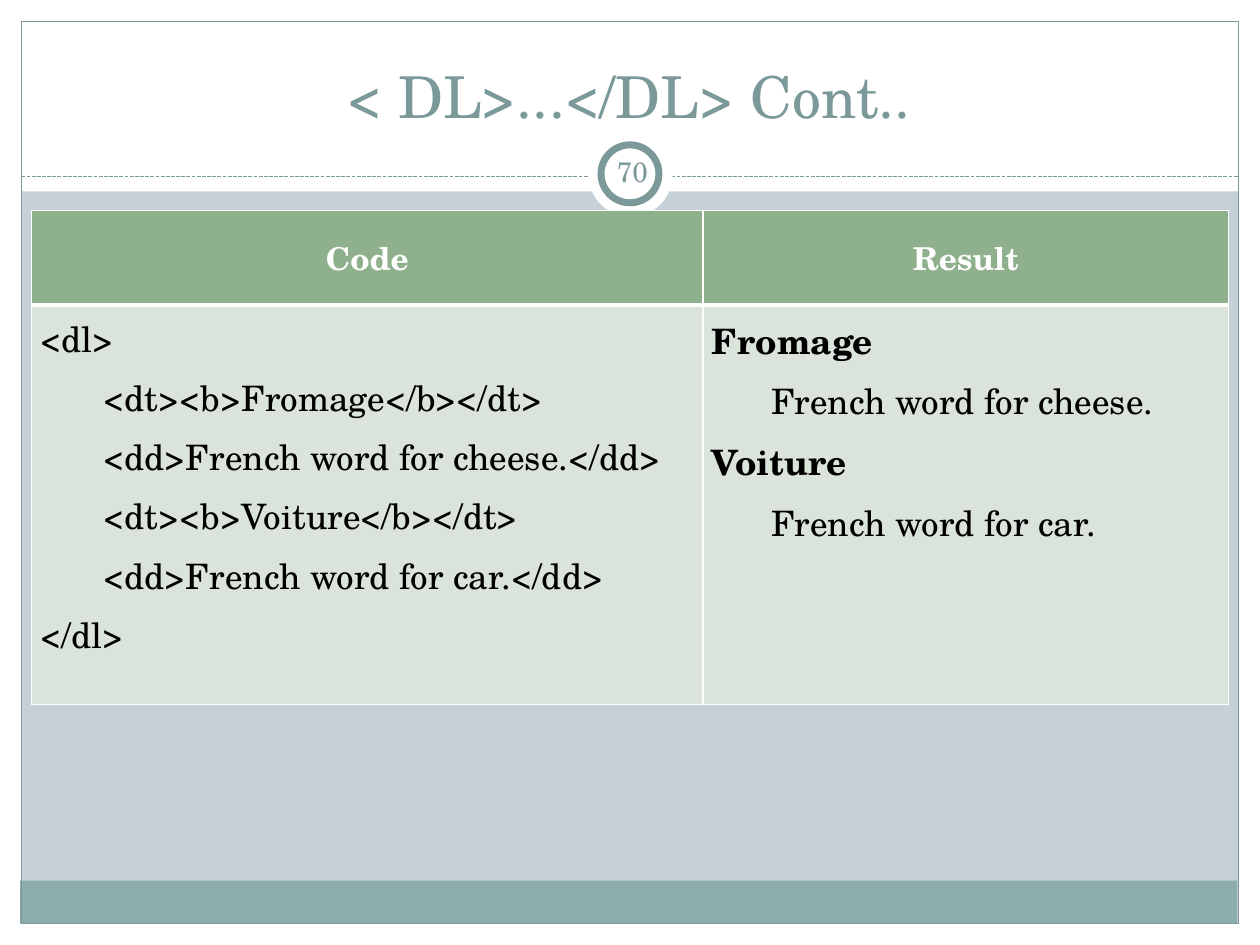
"""Build the definition list slide with its code and result table."""
from lxml import etree
from pptx import Presentation, util as u
from pptx.dml.color import RGBColor
from pptx.enum import dml, shapes, text
from pptx.oxml import ns

FONT = "TeX Gyre Schola"
WHITE, TEAL, BLACK = "FFFFFF", "7C999A", "000000"
HEAD, BODY = "8FB08C", "DBE4DA"
RECT, OVAL = shapes.MSO_SHAPE.RECTANGLE, shapes.MSO_SHAPE.OVAL
MID, JUST = text.PP_ALIGN.CENTER, text.PP_ALIGN.JUSTIFY

PANELS = [
    ((0, 7.33, 10, 0.17), WHITE, None),
    ((0, 0, 10, 1.52), WHITE, None),
    ((0, 0, 0.17, 7.5), WHITE, None),
    ((9.83, 0, 0.17, 7.5), WHITE, None),
    ((0.16, 6.99, 9.66, 0.34), "8CADAE", None),
    ((0.17, 0.17, 9.66, 7.16), None, 0.75),
]
RINGS = [
    ((4.67, 1.05, 0.67, 0.67), WHITE, None),
    ((4.77, 1.15, 0.46, 0.46), WHITE, 4),
]
LABELS = [
    ((0.33, 0.25, 9.33, 0.83), "< DL>...</DL> Cont..", 33, text.MSO_ANCHOR.BOTTOM),
    ((4.77, 1.12, 0.5, 0.48), "70", 16, text.MSO_ANCHOR.MIDDLE),
]
TITLES = ["Code", "Result"]
CODE = [
    ("<dl>", 0, False),
    ("<dt><b>Fromage</b></dt>", 0.5, False),
    ("<dd>French word for cheese.</dd>", 0.5, False),
    ("<dt><b>Voiture</b></dt>", 0.5, False),
    ("<dd>French word for car.</dd>", 0.5, False),
    ("</dl>", 0, False),
]
RESULT = [
    ("Fromage", 0, True),
    ("French word for cheese.", 0.47, False),
    ("Voiture", 0, True),
    ("French word for car.", 0.47, False),
]
COLS, ROWS = [5.33, 4.17], [0.75, 3.17]


def rgb(tone):
    return RGBColor.from_string(tone)


def paint(fill, tone):
    fill.solid()
    fill.fore_color.rgb = rgb(tone)


def panel(slide, kind, box, tone, line):
    item = slide.shapes.add_shape(kind, *map(u.Inches, box))
    item.shadow.inherit = False
    if tone:
        paint(item.fill, tone)
    else:
        item.fill.background()
    if line:
        item.line.color.rgb = rgb(TEAL)
        item.line.width = u.Pt(line)
    else:
        item.line.fill.background()


def write(par, words, size, tone, bold=False, align=MID):
    par.alignment = align
    run = par.add_run()
    run.text = words
    run.font.name, run.font.size, run.font.bold = FONT, u.Pt(size), bold
    run.font.color.rgb = rgb(tone)


def label(slide, box, words, size, anchor):
    frame = slide.shapes.add_textbox(*map(u.Inches, box)).text_frame
    frame.word_wrap, frame.vertical_anchor = True, anchor
    if size < 20:
        frame.margin_left = frame.margin_right = u.Inches(0.05)
    write(frame.paragraphs[0], words, size, TEAL)


def rule(slide):
    line = slide.shapes.add_connector(
        shapes.MSO_CONNECTOR.STRAIGHT, *map(u.Inches, (0.17, 1.4, 9.83, 1.4)))
    line.line.color.rgb = rgb(TEAL)
    line.line.width = u.Pt(0.75)
    line.line.dash_style = dml.MSO_LINE.SQUARE_DOT
    etree.SubElement(line._element.spPr, ns.qn("a:effectLst"))


def dress(cell, tone, top, base):
    props = cell._tc.get_or_add_tcPr()
    for side, width in zip("LRTB", (1, 1, top, base)):
        edge = etree.SubElement(props, ns.qn("a:ln" + side), w=str(u.Pt(width)))
        fill = etree.SubElement(edge, ns.qn("a:solidFill"))
        etree.SubElement(fill, ns.qn("a:srgbClr"), val=WHITE)
    paint(cell.fill, tone)
    cell.margin_left = cell.margin_right = u.Inches(0.07)
    cell.margin_top = cell.margin_bottom = 0


def fill(cell, lines, align):
    frame = cell.text_frame
    for i, (words, dent, bold) in enumerate(lines):
        par = frame.add_paragraph() if i else frame.paragraphs[0]
        par.line_spacing = 1.15
        par._p.get_or_add_pPr().set("marL", str(u.Inches(dent)))
        write(par, words, 20, BLACK, bold, align)


def grid(slide):
    box = 0.25, 1.67, sum(COLS), sum(ROWS)
    table = slide.shapes.add_table(2, 2, *map(u.Inches, box)).table
    for col, width in zip(table.columns, COLS):
        col.width = u.Inches(width)
    for row, height in zip(table.rows, ROWS):
        row.height = u.Inches(height)
    bodies = [(CODE, JUST), (RESULT, text.PP_ALIGN.LEFT)]
    for i, (title, (lines, align)) in enumerate(zip(TITLES, bodies)):
        top, low = table.cell(0, i), table.cell(1, i)
        dress(top, HEAD, 1, 3)
        top.vertical_anchor = text.MSO_ANCHOR.MIDDLE
        write(top.text_frame.paragraphs[0], title, 18, WHITE, True)
        dress(low, BODY, 3, 1)
        fill(low, lines, align)


def main():
    deck = Presentation()
    deck.slide_width, deck.slide_height = u.Inches(10), u.Inches(7.5)
    slide = deck.slides.add_slide(deck.slide_layouts[6])
    paint(slide.background.fill, "C5D1D7")
    for part in PANELS:
        panel(slide, RECT, *part)
    rule(slide)
    for part in RINGS:
        panel(slide, OVAL, *part)
    for part in LABELS:
        label(slide, *part)
    grid(slide)
    deck.save("out.pptx")


if __name__ == "__main__":
    main()
